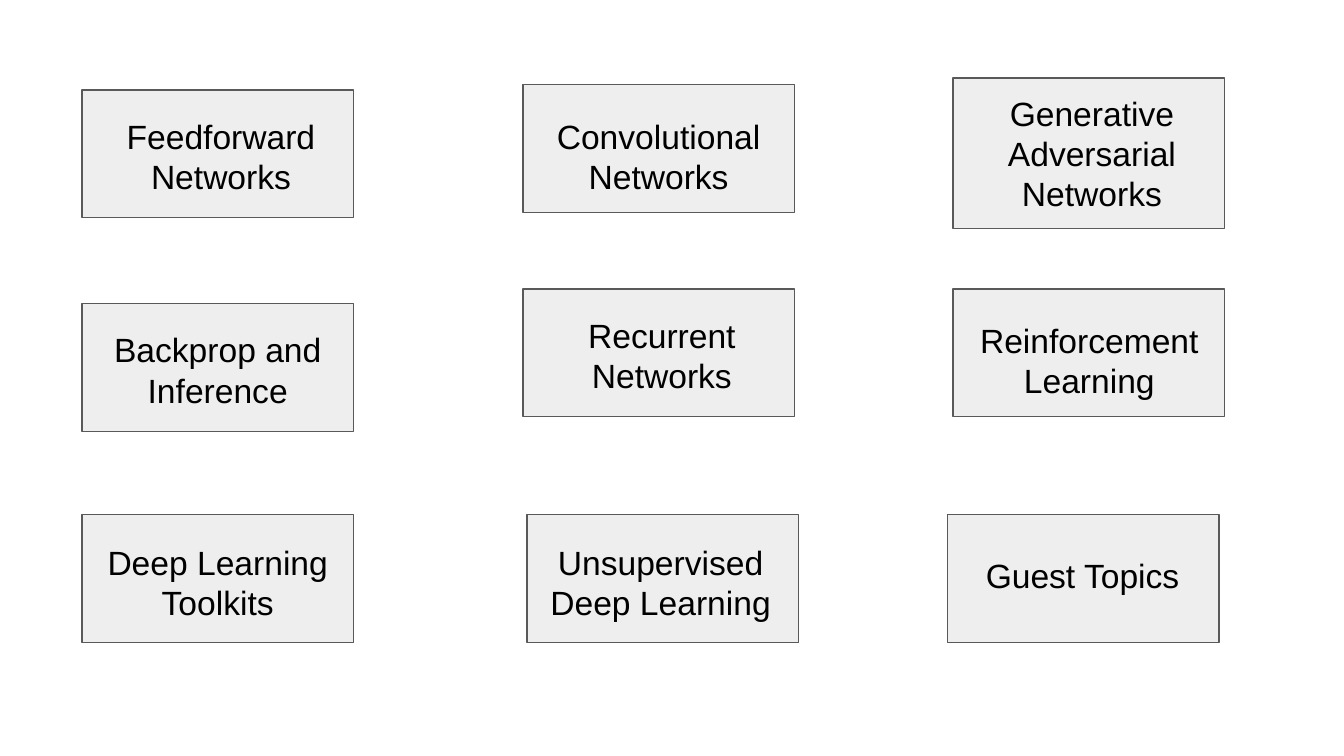
"""Build a slide that maps nine deep learning course topics in three columns."""
from dataclasses import dataclass

from pptx import Presentation
from pptx.dml.color import RGBColor
from pptx.enum.shapes import MSO_SHAPE
from pptx.enum.text import MSO_ANCHOR, PP_ALIGN
from pptx.util import Inches, Pt


@dataclass(frozen=True)
class Theme:
    fill: RGBColor = RGBColor(0xEE, 0xEE, 0xEE)
    outline: RGBColor = RGBColor(0x59, 0x59, 0x59)
    ink: RGBColor = RGBColor(0, 0, 0)
    font: str = "Arial"
    size: Pt = Pt(18)
    outline_width: Pt = Pt(0.75)


@dataclass(frozen=True)
class Topic:
    name: str
    left: float
    top: float
    label_left: float
    label_top: float
    label_width: float = 1.67
    label_height: float = 0.68
    height: float = 0.95


THEME = Theme()
SLIDE_WIDTH = 10
CARD_WIDTH = 2.02
INSET = 0.1
TOPICS = (
    Topic("Feedforward Networks", 0.61, 0.67, 0.81, 0.76),
    Topic("Backprop and Inference", 0.61, 2.26, 0.61, 2.35, 2.02, 0.74),
    Topic("Deep Learning Toolkits", 0.61, 3.83, 0.61, 3.93, 2.02),
    Topic("Convolutional Networks", 3.89, 0.63, 3.99, 0.76, 1.82),
    Topic("Recurrent Networks", 3.89, 2.15, 4.09, 2.24),
    Topic("Unsupervised Deep Learning", 3.92, 3.83, 3.94, 3.93, 1.95),
    Topic("Reinforcement Learning", 7.09, 2.15, 7.13, 2.28, 1.95),
    Topic("Generative Adversarial Networks", 7.09, 0.58, 7.29, 0.59, height=1.12),
    Topic("Guest Topics", 7.05, 3.83, 7.22, 4.03),
)


def add_card(slide, topic):
    card = slide.shapes.add_shape(
        MSO_SHAPE.RECTANGLE, Inches(topic.left), Inches(topic.top),
        Inches(CARD_WIDTH), Inches(topic.height))
    card.shadow.inherit = False
    card.fill.solid()
    card.fill.fore_color.rgb = THEME.fill
    card.line.color.rgb = THEME.outline
    card.line.width = THEME.outline_width


def add_label(slide, topic):
    label = slide.shapes.add_textbox(
        Inches(topic.label_left), Inches(topic.label_top),
        Inches(topic.label_width), Inches(topic.label_height))
    frame = label.text_frame
    frame.word_wrap = True
    frame.vertical_anchor = MSO_ANCHOR.TOP
    frame.margin_left = frame.margin_right = Inches(INSET)
    frame.margin_top = frame.margin_bottom = Inches(INSET)
    paragraph = frame.paragraphs[0]
    paragraph.text = topic.name
    paragraph.alignment = PP_ALIGN.CENTER
    paragraph.font.name = THEME.font
    paragraph.font.size = THEME.size
    paragraph.font.color.rgb = THEME.ink


def main():
    deck = Presentation()
    deck.slide_width = Inches(SLIDE_WIDTH)
    deck.slide_height = Inches(SLIDE_WIDTH * 9 / 16)
    slide = deck.slides.add_slide(deck.slide_layouts[6])
    for topic in TOPICS:
        add_card(slide, topic)
        add_label(slide, topic)
    deck.save("out.pptx")


if __name__ == "__main__":
    main()
